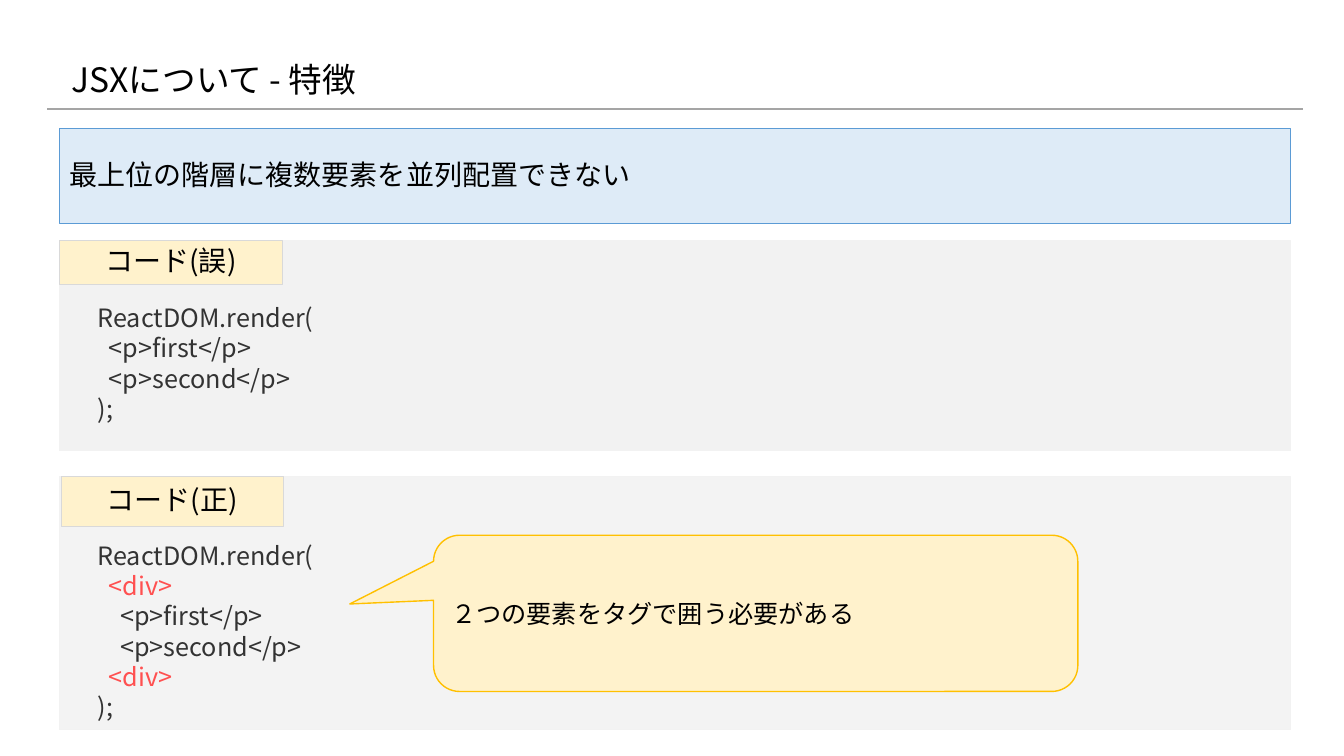
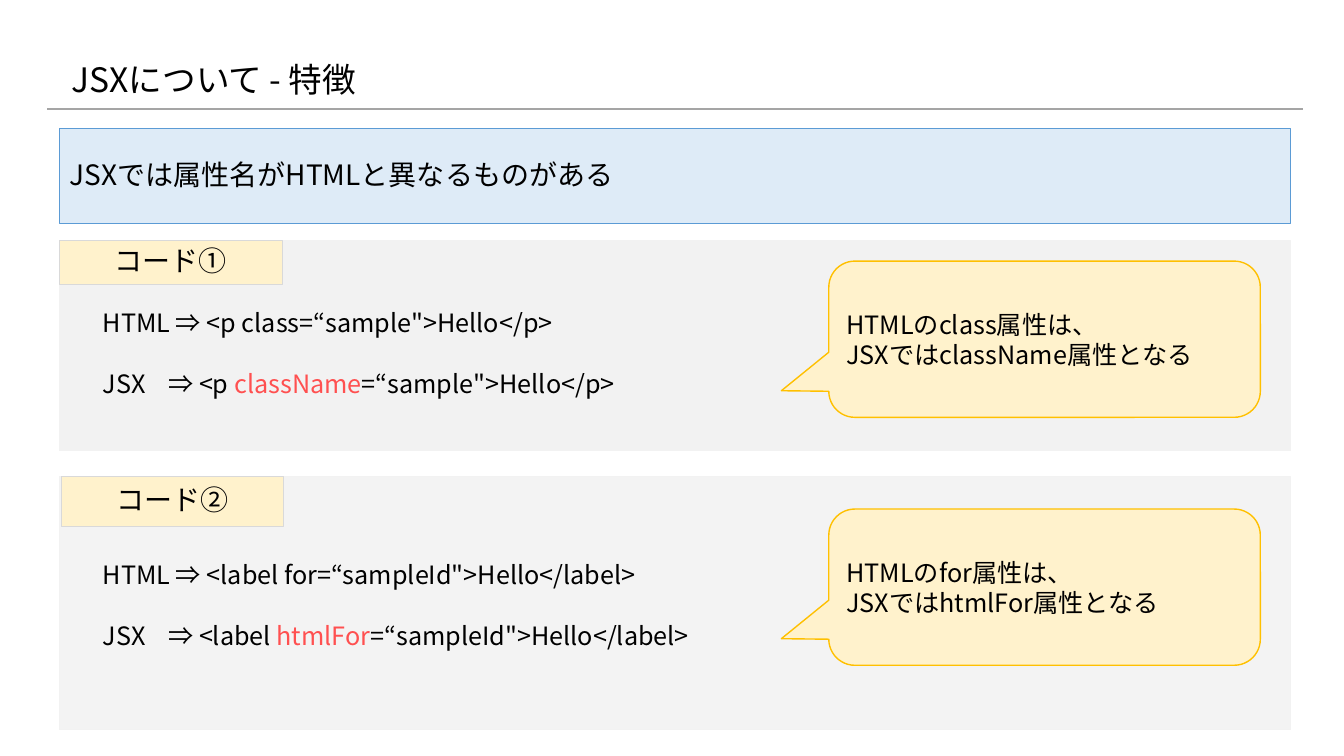
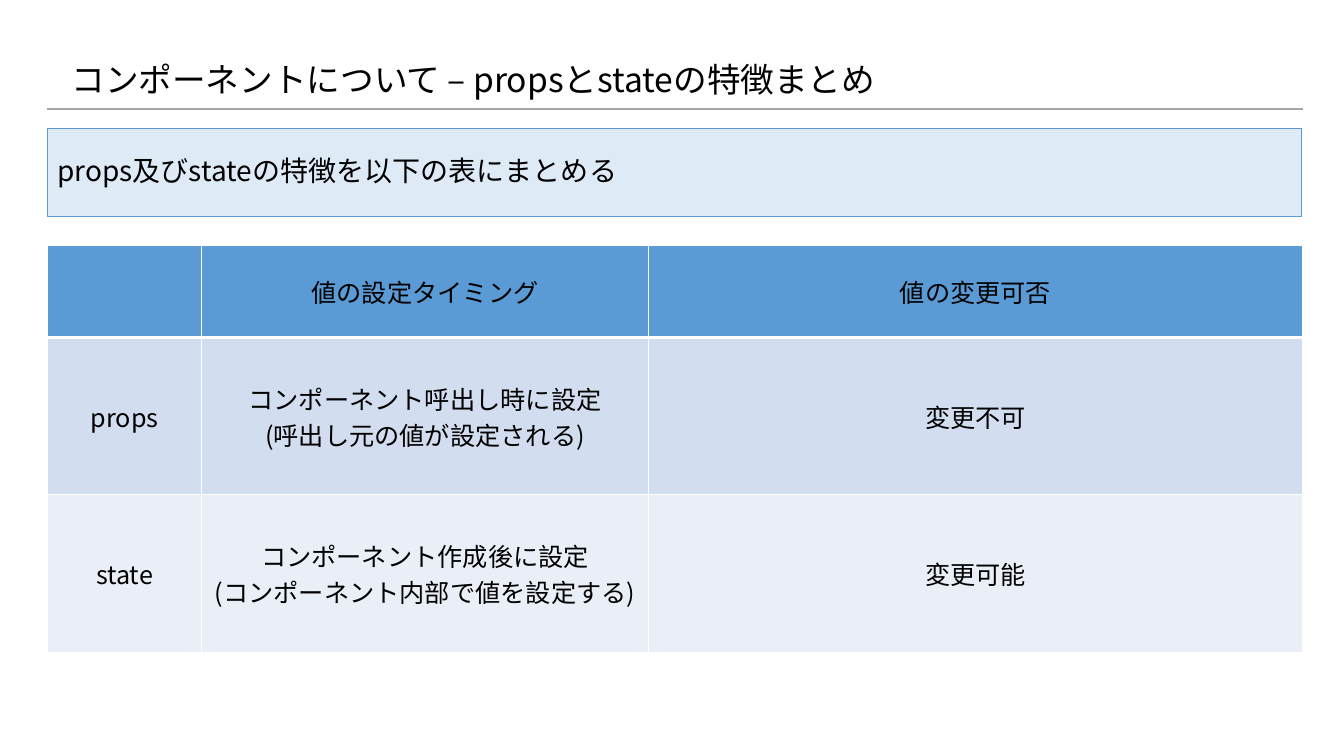
from lxml.etree import SubElement
from pptx import Presentation
from pptx.dml.color import RGBColor
from pptx.enum.shapes import MSO_CONNECTOR, MSO_SHAPE
from pptx.enum.text import MSO_ANCHOR, MSO_AUTO_SIZE, PP_ALIGN
from pptx.oxml.ns import qn
from pptx.util import Inches, Pt

FONT = "Noto Sans CJK JP"
COLORS = {
    "text": "000000", "code": "333333", "accent": "FF5050",
    "rule": "A5A5A5", "banner": "DEEBF7", "blue": "5B9BD5",
    "panel": "F2F2F2", "lower_panel": "F3F3F3", "label": "FFF2CC",
    "label_line": "D9D9D9", "callout_line": "FFC000",
    "band_dark": "D2DEEF", "band_light": "EAEFF7", "white": "FFFFFF",
}
PANEL_LEFT, PANEL_WIDTH = 0.59, 12.21


def rgb(name):
    """Return the named colour."""
    return RGBColor.from_string(COLORS[name])


def write_text(text_frame, text, size, color="text", align=PP_ALIGN.LEFT,
               line_spacing=None, space_before=0):
    """Write one paragraph per line; parts between bars take the accent colour."""
    for index, line in enumerate(text.split("\n")):
        paragraph = text_frame.paragraphs[0] if index == 0 else text_frame.add_paragraph()
        paragraph.alignment = align
        paragraph.line_spacing = line_spacing
        paragraph.space_before = Pt(space_before)
        for position, part in enumerate(line.split("|")):
            if not part:
                continue
            run = paragraph.add_run()
            run.text = part
            run.font.size = Pt(size)
            run.font.name = FONT
            run.font.color.rgb = rgb("accent" if position % 2 else color)
            SubElement(run.font._element, qn("a:ea"), typeface=FONT)


def add_box(slide, box, fill, line, line_width=0.75, preset=MSO_SHAPE.RECTANGLE):
    """Add a filled, outlined shape with no shadow."""
    shape = slide.shapes.add_shape(preset, *map(Inches, box))
    shape.shadow.inherit = False
    shape.fill.solid()
    shape.fill.fore_color.rgb = rgb(fill)
    shape.line.color.rgb = rgb(line)
    shape.line.width = Pt(line_width)
    shape.text_frame.word_wrap = True
    shape.text_frame.vertical_anchor = MSO_ANCHOR.MIDDLE
    return shape


def add_banner(slide, text, box=(PANEL_LEFT, 1.27, PANEL_WIDTH, 0.95)):
    """Add the blue statement band under the title."""
    banner = add_box(slide, box, "banner", "blue")
    write_text(banner.text_frame, text, 20, line_spacing=0.9, space_before=10)


def add_panels(slide, upper_label, lower_label):
    """Add the two grey code panels with their labels."""
    add_box(slide, (PANEL_LEFT, 2.39, PANEL_WIDTH, 2.08), "panel", "panel")
    add_box(slide, (PANEL_LEFT, 4.73, PANEL_WIDTH, 2.51), "lower_panel", "panel")
    labels = ((upper_label, (PANEL_LEFT, 2.39, 2.21, 0.43)),
              (lower_label, (0.61, 4.73, 2.2, 0.49)))
    for text, box in labels:
        label = add_box(slide, box, "label", "label_line")
        write_text(label.text_frame, text, 20, align=PP_ALIGN.CENTER,
                   line_spacing=0.9, space_before=10)


def add_code(slide, text, box, color="text"):
    """Add a text box of code lines."""
    text_box = slide.shapes.add_textbox(*map(Inches, box))
    text_box.text_frame.word_wrap = True
    write_text(text_box.text_frame, text, 18, color)


def add_callout(slide, text, box, pointer):
    """Add a rounded speech callout whose tip is at the pointer offsets."""
    callout = add_box(slide, box, "label", "callout_line", 1,
                      MSO_SHAPE.ROUNDED_RECTANGULAR_CALLOUT)
    callout.adjustments[0], callout.adjustments[1] = pointer
    write_text(callout.text_frame, text, 18)


def set_borders(cell, bottom_width):
    """Draw white cell borders, with a chosen bottom width."""
    properties = cell._tc.get_or_add_tcPr()
    widths = {"a:lnL": 1, "a:lnR": 1, "a:lnT": 1, "a:lnB": bottom_width}
    for index, (tag, width) in enumerate(widths.items()):
        border = SubElement(properties, qn(tag), w=str(Pt(width)))
        fill = SubElement(border, qn("a:solidFill"))
        SubElement(fill, qn("a:srgbClr"), val=COLORS["white"])
        properties.insert(index, border)


def add_summary_table(slide, rows):
    """Add the comparison table."""
    widths, heights = (1.53, 4.43, 6.49), (0.92, 1.56, 1.56)
    table = slide.shapes.add_table(
        len(rows), len(widths), Inches(0.47), Inches(2.43),
        Inches(sum(widths)), Inches(sum(heights))).table
    for column, width in zip(table.columns, widths):
        column.width = Inches(width)
    fills = ("blue", "band_dark", "band_light")
    for row_index, (row, texts) in enumerate(zip(table.rows, rows)):
        row.height = Inches(heights[row_index])
        for cell, text in zip(row.cells, texts):
            cell.fill.solid()
            cell.fill.fore_color.rgb = rgb(fills[row_index])
            cell.vertical_anchor = MSO_ANCHOR.MIDDLE
            write_text(cell.text_frame, text, 18, align=PP_ALIGN.CENTER)
            set_borders(cell, 3 if row_index == 0 else 1)


def add_titled_slide(presentation, title):
    """Add a slide with its title and the rule below it."""
    slide = presentation.slides.add_slide(presentation.slide_layouts[5])
    placeholder = slide.shapes.title
    placeholder.left, placeholder.top = Inches(0.61), Inches(0.31)
    placeholder.width, placeholder.height = Inches(10.7), Inches(1)
    placeholder.text_frame.auto_size = MSO_AUTO_SIZE.NONE
    placeholder.text_frame.vertical_anchor = MSO_ANCHOR.MIDDLE
    write_text(placeholder.text_frame, title, 24, line_spacing=0.9)
    rule = slide.shapes.add_connector(
        MSO_CONNECTOR.STRAIGHT, Inches(0.47), Inches(1.08), Inches(12.92), Inches(1.08))
    rule.line.color.rgb = rgb("rule")
    rule.line.width = Pt(1.5)
    SubElement(rule._element.spPr, qn("a:effectLst"))
    return slide


def build_top_level_slide(presentation):
    """Show that top-level elements need a wrapper."""
    slide = add_titled_slide(presentation, "JSXについて - 特徴")
    add_banner(slide, "最上位の階層に複数要素を並列配置できない")
    add_panels(slide, "コード(誤)", "コード(正)")
    add_code(slide, "ReactDOM.render(\n  <p>first</p>\n  <p>second</p>\n);",
             (0.87, 2.95, 6.86, 1.31), "code")
    add_code(slide, "ReactDOM.render(\n|  <div>|\n    <p>first</p>\n"
                    "    <p>second</p>\n|  <div>|\n);",
             (0.87, 5.31, 6.86, 1.92), "code")
    add_callout(slide, "２つの要素をタグで囲う必要がある",
                (4.3, 5.31, 6.39, 1.55), (-0.63, -0.06))


def build_attribute_slide(presentation):
    """Compare attribute names in HTML and JSX."""
    slide = add_titled_slide(presentation, "JSXについて - 特徴")
    add_banner(slide, "JSXでは属性名がHTMLと異なるものがある")
    add_panels(slide, "コード①", "コード②")
    examples = (("p", "class", "className", "sample", 3, 2.59),
                ("label", "for", "htmlFor", "sampleId", 5.5, 5.05))
    for tag, html_name, jsx_name, value, code_top, callout_top in examples:
        ending = f"=“{value}\">Hello</{tag}>"
        add_code(slide, f"HTML ⇒ <{tag} {html_name}{ending}", (0.92, code_top, 7.1, 0.4))
        add_code(slide, f"JSX    ⇒ <{tag} |{jsx_name}|{ending}",
                 (0.92, code_top + 0.61, 7.1, 0.4))
        add_callout(slide, f"HTMLの{html_name}属性は、\nJSXでは{jsx_name}属性となる",
                    (8.22, callout_top, 4.28, 1.55), (-0.61, 0.33))


def build_summary_slide(presentation):
    """Summarise props and state in a table."""
    slide = add_titled_slide(presentation, "コンポーネントについて – propsとstateの特徴まとめ")
    add_banner(slide, "props及びstateの特徴を以下の表にまとめる", (0.47, 1.28, 12.44, 0.87))
    add_summary_table(slide, (
        ("", "値の設定タイミング", "値の変更可否"),
        ("props", "コンポーネント呼出し時に設定\n(呼出し元の値が設定される)", "変更不可"),
        ("state", "コンポーネント作成後に設定\n(コンポーネント内部で値を設定する)", "変更可能"),
    ))


def main():
    """Build and save the presentation."""
    presentation = Presentation()
    presentation.slide_width, presentation.slide_height = Inches(13.33), Inches(7.5)
    build_top_level_slide(presentation)
    build_attribute_slide(presentation)
    build_summary_slide(presentation)
    presentation.save("out.pptx")


main()
